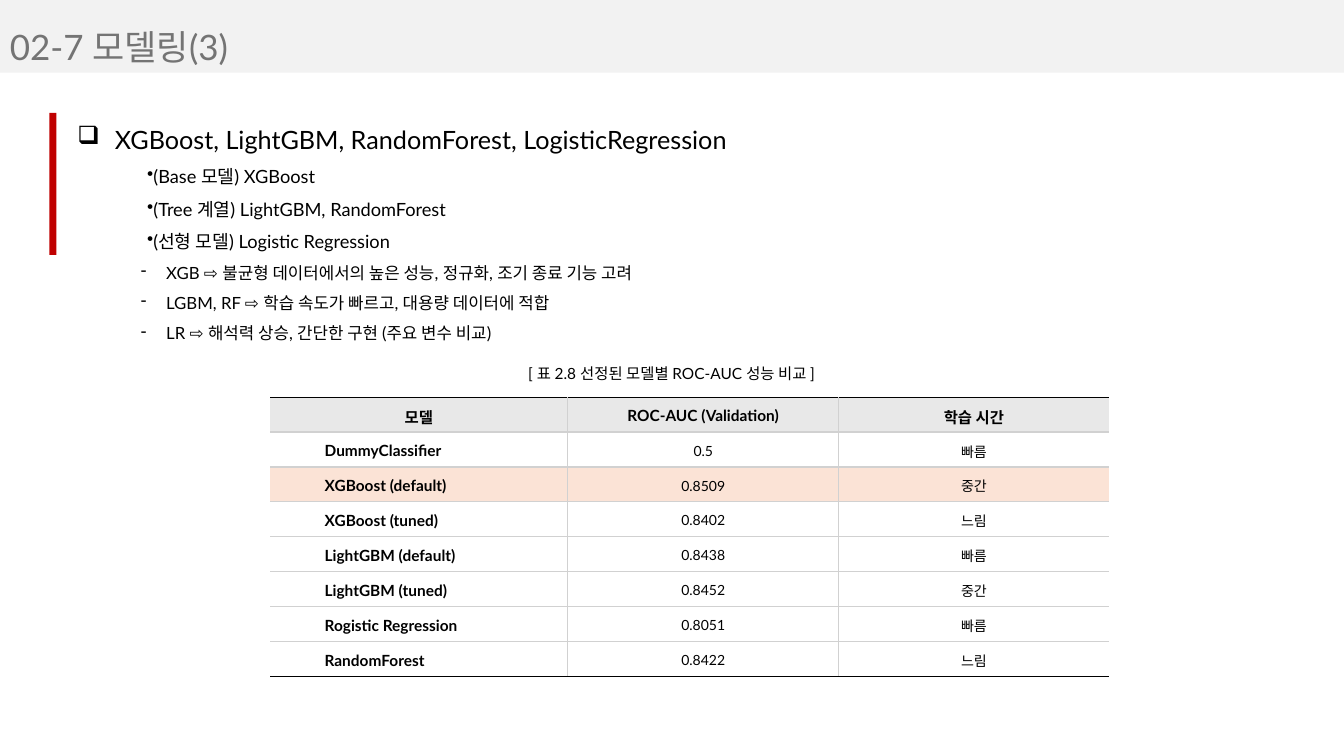
from pptx import Presentation
from pptx.dml.color import RGBColor
from pptx.enum.shapes import MSO_SHAPE
from pptx.enum.text import MSO_ANCHOR, MSO_AUTO_SIZE, PP_ALIGN
from pptx.oxml import parse_xml
from pptx.oxml.ns import nsdecls
from pptx.util import Pt

PX = 9144
BLACK, GRID = "000000", "D1D1D1"


def style(para, size, color=BLACK, bold=False):
    font = para.font
    font.name = "Lato"
    font.size = Pt(size)
    font.bold = bold
    font.color.rgb = RGBColor.from_string(color)


def add_box(left, top, width, height):
    box = slide.shapes.add_textbox(left * PX, top * PX, width * PX, height * PX)
    frame = box.text_frame
    frame.word_wrap = True
    frame.auto_size = MSO_AUTO_SIZE.SHAPE_TO_FIT_TEXT
    return frame


deck = Presentation()
deck.slide_width = 1333 * PX
deck.slide_height = 750 * PX
slide = deck.slides.add_slide(deck.slide_layouts[6])

for left, top, width, height, color in [
    (-19, -11, 1405, 83, "F2F2F2"),
    (49, 112, 7, 141, "C00000"),
]:
    bar = slide.shapes.add_shape(
        MSO_SHAPE.RECTANGLE, left * PX, top * PX, width * PX, height * PX
    )
    bar.shadow.inherit = False
    bar.fill.solid()
    bar.fill.fore_color.rgb = RGBColor.from_string(color)
    bar.line.fill.background()

title = add_box(0, 20, 789, 52).paragraphs[0]
title.text = "02-7 모델링(3)"
style(title, 25, "747474")

levels = {
    0: (37, -37, "❑", 18),
    2: (44, 25, "•", 13),
    3: (88, -25, "-", 12),
}
points = [
    (0, "XGBoost, LightGBM, RandomForest, LogisticRegression"),
    (2, "(Base 모델) XGBoost"),
    (2, "(Tree 계열) LightGBM, RandomForest"),
    (2, "(선형 모델) Logistic Regression"),
    (3, "XGB ⇨ 불균형 데이터에서의 높은 성능, 정규화, 조기 종료 기능 고려"),
    (3, "LGBM, RF ⇨ 학습 속도가 빠르고, 대용량 데이터에 적합"),
    (3, "LR ⇨ 해석력 상승, 간단한 구현 (주요 변수 비교)"),
]
body = add_box(67, 103, 1183, 272)
for index, (level, text) in enumerate(points):
    para = body.add_paragraph() if index else body.paragraphs[0]
    margin, indent, mark, size = levels[level]
    para.text = text
    para.level = level
    para.line_spacing = 1.5
    props = para._p.get_or_add_pPr()
    props.set("marL", str(margin * PX))
    props.set("indent", str(indent * PX))
    props.append(parse_xml(f'<a:buChar {nsdecls("a")} char="{mark}"/>'))
    style(para, size)

caption = add_box(315, 356, 702, 29).paragraphs[0]
caption.text = "[ 표 2.8 선정된 모델별 ROC-AUC 성능 비교 ]"
caption.alignment = PP_ALIGN.CENTER
style(caption, 11)

rows = [
    ("모델", "ROC-AUC (Validation)", "학습 시간"),
    ("DummyClassifier", "0.5", "빠름"),
    ("XGBoost (default)", "0.8509", "중간"),
    ("XGBoost (tuned)", "0.8402", "느림"),
    ("LightGBM (default)", "0.8438", "빠름"),
    ("LightGBM (tuned)", "0.8452", "중간"),
    ("Rogistic Regression", "0.8051", "빠름"),
    ("RandomForest", "0.8422", "느림"),
]
widths = [295, 269, 268]
fills = {0: "E8E8E8", 2: "FBE3D6"}
last = len(rows) - 1

table = slide.shapes.add_table(
    len(rows), len(widths), 268 * PX, 394 * PX, sum(widths) * PX, 277 * PX
).table
table.first_row = False
table.horz_banding = False
for col, width in enumerate(widths):
    table.columns[col].width = width * PX

for row, values in enumerate(rows):
    for col, text in enumerate(values):
        cell = table.cell(row, col)
        cell.margin_left = cell.margin_right = 4 * PX
        cell.margin_top = cell.margin_bottom = 0
        cell.vertical_anchor = MSO_ANCHOR.MIDDLE

        edges = {
            "L": GRID if col else None,
            "R": GRID if col < len(widths) - 1 else None,
            "T": GRID if row else BLACK,
            "B": GRID if row < last else BLACK,
        }
        for side, color in edges.items():
            paint = (
                f'<a:solidFill><a:srgbClr val="{color}"/></a:solidFill>'
                if color
                else "<a:noFill/>"
            )
            cell._tc.get_or_add_tcPr().append(
                parse_xml(
                    f'<a:ln{side} {nsdecls("a")} w="12700">{paint}</a:ln{side}>'
                )
            )
        if row in fills:
            cell.fill.solid()
            cell.fill.fore_color.rgb = RGBColor.from_string(fills[row])
        else:
            cell.fill.background()

        para = cell.text_frame.paragraphs[0]
        para.text = text
        para.line_spacing = 1.15
        para.space_after = Pt(8)
        if row and not col:
            para.level = 1
            props = para._p.get_or_add_pPr()
            props.set("marL", str(50 * PX))
            props.set("indent", "0")
        else:
            para.alignment = PP_ALIGN.CENTER
        strong = row == 0 or col == 0
        style(para, 11 if strong else 10, bold=strong)

deck.save("out.pptx")
